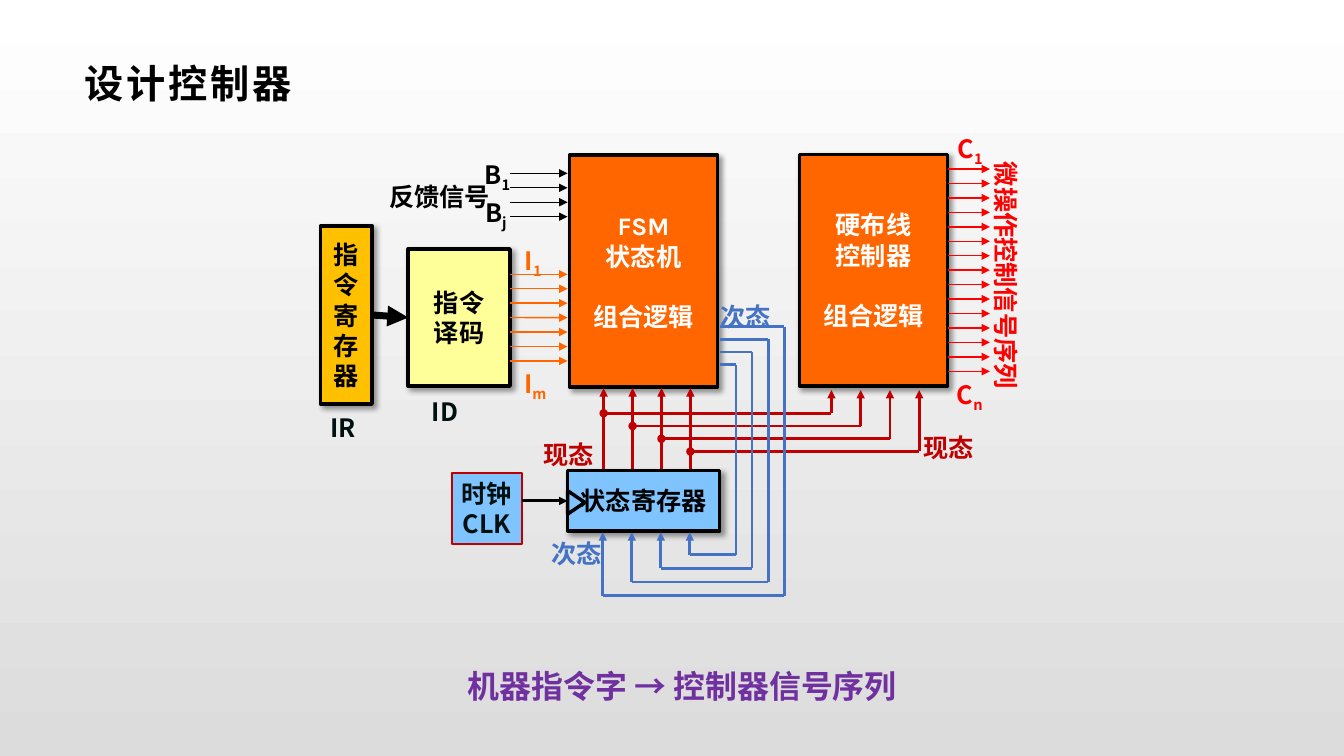
from dataclasses import dataclass

from lxml.etree import SubElement
from pptx import Presentation
from pptx.dml.color import RGBColor
from pptx.enum.shapes import MSO_CONNECTOR, MSO_SHAPE
from pptx.enum.text import MSO_ANCHOR, MSO_AUTO_SIZE, PP_ALIGN
from pptx.oxml.ns import qn
from pptx.util import Pt


@dataclass(frozen=True)
class Theme:
    black: str = "000000"
    white: str = "FFFFFF"
    grey: str = "DCDCDC"
    ink: str = "001010"
    gold: str = "FFC000"
    yellow: str = "FFFF99"
    orange: str = "FF6600"
    sky: str = "7FC4FF"
    red: str = "FF0000"
    present: str = "C00000"
    next: str = "4472C4"
    purple: str = "7030A0"
    title_font: str = "Arial"
    block_font: str = "Karla"
    label_font: str = "Noto Sans CJK SC"
    title_size: float = 28
    body_size: float = 18
    conclusion_size: float = 22.8
    signal_pitch: float = 10.32


THEME = Theme()


@dataclass(frozen=True)
class Box:
    left: float
    top: float
    width: float
    height: float

    @property
    def right(self):
        return self.left + self.width

    @property
    def bottom(self):
        return self.top + self.height

    def inner(self, x, y, width, height):
        return Box(self.left + x, self.top + y, width, height)

    def lengths(self):
        return Pt(self.left), Pt(self.top), Pt(self.width), Pt(self.height)


def format_run(run, color, font, size=THEME.body_size):
    run.font.size = Pt(size)
    run.font.bold = True
    run.font.name = font
    run.font.color.rgb = RGBColor.from_string(color)
    SubElement(run._r.get_or_add_rPr(), qn("a:ea"), typeface=THEME.label_font)


def add_label(slide, box, text, color, subscript="", rotation=0):
    shape = slide.shapes.add_textbox(*box.lengths())
    shape.rotation = rotation
    shape.text_frame.word_wrap = False
    paragraph = shape.text_frame.paragraphs[0]
    paragraph.text = text
    paragraph.alignment = PP_ALIGN.CENTER
    if subscript:
        run = paragraph.add_run()
        run.text = subscript
        run._r.get_or_add_rPr().set("baseline", "-25000")
    for run in paragraph.runs:
        format_run(run, color, THEME.label_font)
    return shape


def add_block(slide, box, text, fill, color=THEME.black, font=THEME.block_font,
              outline=THEME.black, weight=2.5, shadow=True, kind=MSO_SHAPE.RECTANGLE):
    shape = slide.shapes.add_shape(kind, *box.lengths())
    shape.fill.solid()
    shape.fill.fore_color.rgb = RGBColor.from_string(fill)
    shape.line.color.rgb = RGBColor.from_string(outline)
    shape.line.width = Pt(weight)
    shape.shadow.inherit = False
    if shadow:
        effects = shape._element.spPr.find(qn("a:effectLst"))
        outer = SubElement(effects, qn("a:outerShdw"), blurRad=str(Pt(4)),
                           dist=str(Pt(3)), dir="2700000", rotWithShape="0")
        shade = SubElement(outer, qn("a:srgbClr"), val=THEME.black)
        SubElement(shade, qn("a:alpha"), val="40000")
    frame = shape.text_frame
    frame.text = text
    frame.vertical_anchor = MSO_ANCHOR.MIDDLE
    for paragraph in frame.paragraphs:
        paragraph.alignment = PP_ALIGN.CENTER
        for run in paragraph.runs:
            format_run(run, color, font)
    return shape


def add_wire(slide, start, end, color, weight=2, head=None, tail=None):
    wire = slide.shapes.add_connector(MSO_CONNECTOR.STRAIGHT, *map(Pt, start + end))
    wire.line.color.rgb = RGBColor.from_string(color)
    wire.line.width = Pt(weight)
    properties = wire._element.spPr
    for tag, ending in (("a:headEnd", head), ("a:tailEnd", tail)):
        if ending:
            SubElement(properties.find(qn("a:ln")), qn(tag), type=ending)
    SubElement(properties, qn("a:effectLst"))
    return wire


def add_signals(slide, left, right, middle, count, color, source=None):
    for index in range(count):
        offset = index - (count - 1) / 2
        y = middle + offset * THEME.signal_pitch
        wire = add_wire(slide, (left, y), (right, y), color, 1, tail="triangle")
        if source and offset == 0:
            wire.begin_connect(source, 3)


def draw_background(slide):
    fill = slide.background.fill
    fill.gradient()
    fill.gradient_angle = 270
    for stop, color in zip(fill.gradient_stops, (THEME.white, THEME.grey)):
        stop.color.rgb = RGBColor.from_string(color)


def draw_title(slide, box):
    title = slide.shapes.title
    title.left, title.top, title.width, title.height = box.lengths()
    frame = title.text_frame
    frame.text = "设计控制器"
    frame.auto_size = MSO_AUTO_SIZE.NONE
    frame.vertical_anchor = MSO_ANCHOR.MIDDLE
    frame.margin_left, frame.margin_right = Pt(7.9), Pt(5.8)
    frame.margin_top = frame.margin_bottom = Pt(2.9)
    paragraph = frame.paragraphs[0]
    paragraph.alignment = PP_ALIGN.LEFT
    run = paragraph.runs[0]
    format_run(run, THEME.black, THEME.title_font, THEME.title_size)
    run._r.get_or_add_rPr().set("spc", "200")


def draw_instruction_unit(slide, box):
    register = add_block(slide, box.inner(0, 0, 36.7, 127.4), "指令寄存器", THEME.gold)
    decoder = add_block(slide, box.inner(62.6, 16.5, 72.7, 98), "指令\n译码", THEME.yellow)
    arrow = add_wire(slide, (box.left, box.top), (box.right, box.top),
                     THEME.black, 5, tail="triangle")
    arrow.begin_connect(register, 3)
    arrow.end_connect(decoder, 1)
    add_label(slide, box.inner(-0.7, 129.6, 33.8, 28.8), "IR", THEME.ink)
    add_label(slide, box.inner(62.6, 118, 52.6, 28.8), "ID", THEME.ink)
    return decoder


def draw_logic(slide, box, text):
    shape = add_block(slide, box, text, THEME.orange, THEME.white)
    shape.text_frame.paragraphs[-1].space_before = Pt(21.5)
    return shape


def draw_state_machine(slide, box, decoder):
    add_signals(slide, box.left - 42.5, box.left - 1.4, box.top + 28.4, 4, THEME.black)
    add_signals(slide, box.left - 42.5, box.left - 1.4, box.top + 116, 7,
                THEME.orange, decoder)
    draw_logic(slide, box, "FSM\n状态机\n组合逻辑")
    add_label(slide, box.inner(-136, 15.1, 86.4, 28.8), "反馈信号", THEME.black)
    add_label(slide, box.inner(-68.4, -0.7, 33.8, 28.8), "B", THEME.black, "1")
    add_label(slide, box.inner(-67.7, 26.6, 30.2, 28.8), "B", THEME.black, "j")
    add_label(slide, box.inner(-39.6, 60.5, 27.4, 28.8), "I", THEME.orange, "1")
    add_label(slide, box.inner(-40.3, 148.3, 31.7, 28.8), "I", THEME.orange, "m")


def draw_hardwired_controller(slide, box):
    controller = draw_logic(slide, box, "硬布线\n控制器\n组合逻辑")
    add_signals(slide, box.right, box.right + 30.3, box.top + box.height / 2, 15,
                THEME.red, controller)
    add_label(slide, box.inner(105.1, -18.7, 33.8, 28.8), "C", THEME.red, "1")
    add_label(slide, box.inner(104.4, 157, 34.6, 28.8), "C", THEME.red, "n")
    add_label(slide, box.inner(59.8, 72, 176.4, 28.8), "微操作控制信号序列",
              THEME.red, rotation=90)


def draw_state_register(slide, box):
    register = add_block(slide, box, "状态寄存器", THEME.sky)
    clock = add_block(slide, box.inner(-82.8, 1.4, 50.4, 51.1), "时钟\nCLK", THEME.sky,
                      THEME.ink, THEME.label_font, THEME.present, 1.5, False)
    clock.text_frame.word_wrap = False
    middle = box.top + box.height / 2
    arrow = add_wire(slide, (box.left - 32.4, middle), (box.left, middle),
                     THEME.black, tail="triangle")
    arrow.end_connect(register, 1)
    notch = add_block(slide, box.inner(-2.1, 16.6, 16.6, 12.2), "", THEME.sky,
                      shadow=False, kind=MSO_SHAPE.ISOSCELES_TRIANGLE)
    notch.rotation = 90


def draw_present_state(slide, box):
    for index in range(4):
        state_x = box.left + 20.65 * index
        control_x = box.right - 20.9 * (3 - index)
        bus_y = box.top + 18 + 9.1 * index
        add_wire(slide, (state_x, box.bottom), (state_x, box.top),
                 THEME.present, tail="triangle")
        add_wire(slide, (state_x, bus_y), (control_x, bus_y), THEME.present, head="oval")
        add_wire(slide, (control_x, bus_y), (control_x, box.top + 1.4),
                 THEME.present, tail="triangle")
    add_label(slide, box.inner(-58.3, 33.1, 67, 28.8), "现态", THEME.present)
    add_label(slide, box.inner(221, 28.1, 50.4, 28.8), "现态", THEME.present)


def draw_next_state(slide, box):
    for index in range(4):
        source_y = box.top + 9.1 * index
        lane_x = box.right - 11.5 * index
        return_y = box.bottom - 9.8 * index
        input_x = box.left + 20.7 * index
        corners = [(box.left + 83.5, source_y), (lane_x, source_y), (lane_x, return_y),
                   (input_x, return_y), (input_x, box.top + 146.9)]
        for start, end in zip(corners, corners[1:]):
            tail = "triangle" if end == corners[-1] else None
            add_wire(slide, start, end, THEME.next, tail=tail)
    add_label(slide, box.inner(77, -21.6, 50.4, 28.8), "次态", THEME.next)
    add_label(slide, box.inner(-44, 147.6, 50.4, 28.8), "次态", THEME.next)


def draw_conclusion(slide, box):
    shape = add_label(slide, box, "机器指令字 → 控制器信号序列", THEME.purple)
    paragraph = shape.text_frame.paragraphs[0]
    paragraph.alignment = PP_ALIGN.LEFT
    paragraph.line_spacing = 1.5
    paragraph.space_before = paragraph.space_after = Pt(5.7)
    paragraph.runs[0].font.size = Pt(THEME.conclusion_size)


def main():
    presentation = Presentation()
    presentation.slide_width, presentation.slide_height = Pt(960), Pt(540)
    slide = presentation.slides.add_slide(presentation.slide_layouts[5])
    draw_background(slide)
    draw_title(slide, Box(52.6, 33.8, 854.6, 51.1))
    decoder = draw_instruction_unit(slide, Box(229, 161.3, 135.3, 158.4))
    draw_state_machine(slide, Box(406.8, 110.9, 105.8, 165.6), decoder)
    draw_hardwired_controller(slide, Box(571, 110.2, 105.8, 165.6))
    draw_present_state(slide, Box(431.2, 277.2, 225.4, 59))
    draw_state_register(slide, Box(405.4, 336.2, 108.7, 43.2))
    draw_next_state(slide, Box(430.6, 233.3, 129.6, 192.2))
    draw_conclusion(slide, Box(326.9, 458.6, 324, 49))
    presentation.save("out.pptx")


if __name__ == "__main__":
    main()
